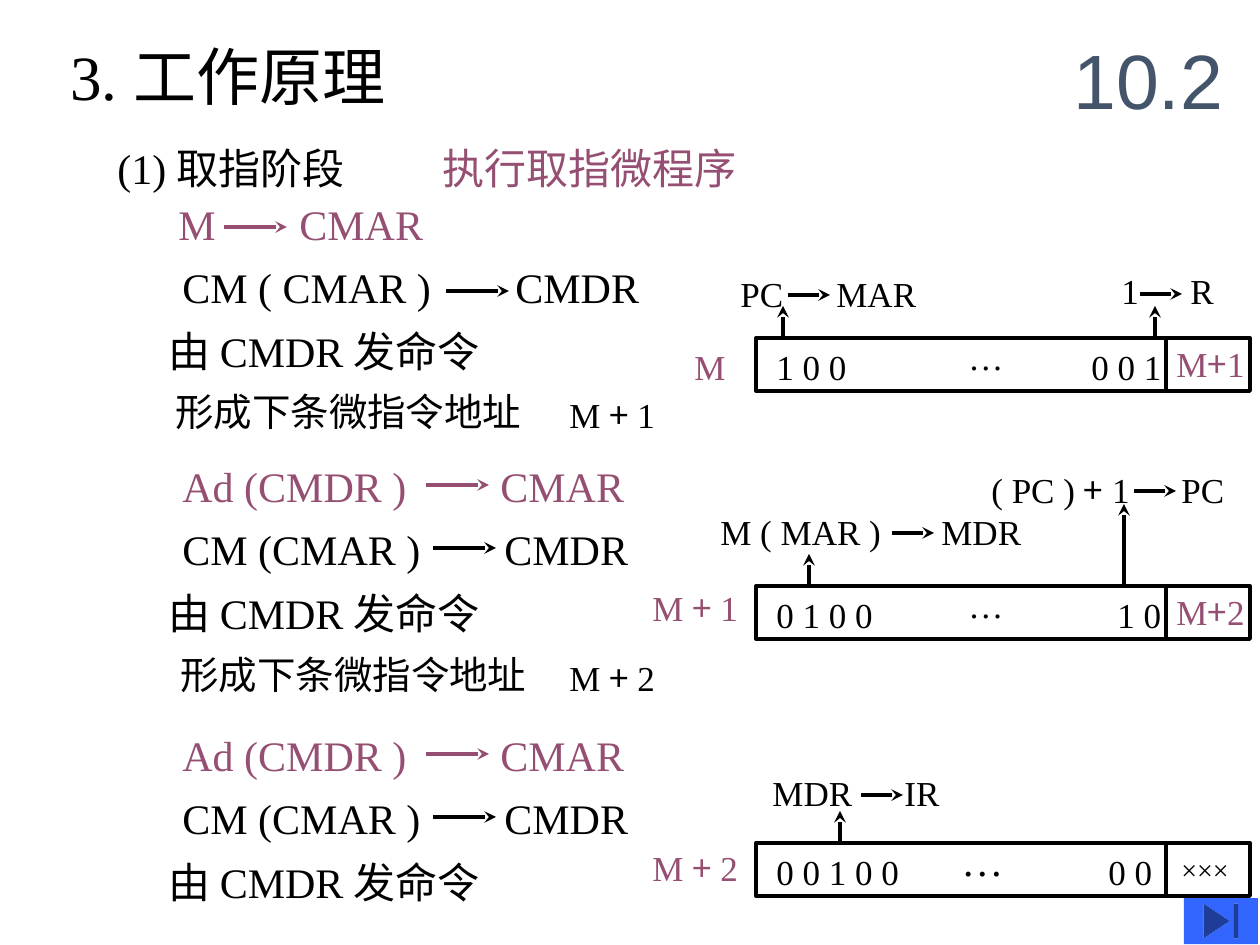
from lxml.etree import SubElement
from pptx import Presentation
from pptx.dml.color import RGBColor
from pptx.enum.shapes import MSO_CONNECTOR as Connector, MSO_SHAPE as Shape
from pptx.enum.text import MSO_ANCHOR as Anchor
from pptx.oxml.ns import qn
from pptx.util import Emu, Pt

SCALE = 914400 / 126
BLACK, PURPLE, SLATE, BLUE = "000000", "954F72", "44546A", "3366FF"
SERIF, SANS, CJK = "Times New Roman", "Arial", "Noto Sans CJK SC"


def px(length):
    """Turn px into EMU."""
    return Emu(round(length * SCALE))


def color(hex_string):
    """Turn a hex string into a colour."""
    return RGBColor.from_string(hex_string)


def add_text(slide, box, wording, size=20, hex_string=BLACK, font=SERIF, tab=None):
    """Place one line of text, with an optional tab stop."""
    text_box = slide.shapes.add_textbox(*map(px, box))
    frame = text_box.text_frame
    frame.word_wrap = True
    paragraph = frame.paragraphs[0]
    if tab:
        tab_list = SubElement(paragraph._p.get_or_add_pPr(), qn("a:tabLst"))
        SubElement(tab_list, qn("a:tab"), pos=str(px(tab)), algn="l")
    paragraph.font.name = font
    paragraph.font.size = Pt(size)
    paragraph.font.color.rgb = color(hex_string)
    for piece in filter(None, wording.partition("+")):
        run = paragraph.add_run()
        run.text = piece
        if piece == "+":
            run.font.name = CJK
    return text_box


def add_line(slide, start, end, hex_string=BLACK, arrow=True):
    """Draw a straight line, by default with an arrowhead at its end."""
    line = slide.shapes.add_connector(Connector.STRAIGHT, *map(px, (*start, *end)))
    line.line.width = Pt(2.25)
    line.line.color.rgb = color(hex_string)
    if arrow:
        SubElement(line.line._get_or_add_ln(), qn("a:tailEnd"), type="stealth")
    SubElement(line._element.spPr, qn("a:effectLst"))


def add_transfer(slide, box, source, target, tab, arrow, size=20, hex_string=BLACK):
    """Write source and target with an arrow between, given as x, y, length in the box."""
    add_text(slide, box, f"{source}\t{target}", size, hex_string, tab=tab)
    x, y, length = box[0] + arrow[0], box[1] + arrow[1], arrow[2]
    add_line(slide, (x, y), (x + length, y), hex_string)


def add_header(slide):
    """Place the title, the section number and the stage line."""
    add_text(slide, (58, 31, 360, 88), "3. 工作原理", 36)
    number = add_text(slide, (1061, 21, 199, 116), "10.2", 44, SLATE, SANS)
    number.text_frame.vertical_anchor = Anchor.MIDDLE
    add_text(slide, (105, 136, 266, 63), "(1) 取指阶段", 24)
    add_text(slide, (430, 136, 322, 63), "执行取指微程序", 24, PURPLE)


def add_command(slide, top):
    """Place the line on issuing commands."""
    add_text(slide, (156, top, 360, 63), "由 CMDR 发命令", 24)


def add_next_address(slide, left, top, wording):
    """Place the line on forming the next address."""
    add_text(slide, (left, top, 374, 59), "形成下条微指令地址", 22)
    add_text(slide, (557, top + 5, 114, 55), wording)


def add_first_step(slide, top):
    """Place the fetch of the first microinstruction."""
    add_transfer(slide, (166, top, 274, 63), "M", "CMAR", 121, (58, 35, 63), 24, PURPLE)
    add_transfer(slide, (170, top + 63, 486, 63), "CM ( CMAR )", "CMDR", 333,
                 (276, 36, 63), 24)
    add_command(slide, top + 127)


def add_later_step(slide, top):
    """Place the fetch of a following microinstruction."""
    add_transfer(slide, (170, top, 471, 63), "Ad (CMDR )", "CMAR", 318,
                 (256, 31, 63), 24, PURPLE)
    add_transfer(slide, (170, top + 63, 476, 63), "CM (CMAR )", "CMDR", 322,
                 (263, 31, 63), 24)
    add_command(slide, top + 127)


def add_register(slide, top, bits, tab, label, label_box, following, outputs,
                 following_style=(1164, -2, 93, 20, PURPLE), dots=(956, -9, 60, 20)):
    """Place a microinstruction word with its label, bits, next address and outputs."""
    for x, length in outputs:
        add_line(slide, (x, top), (x, top - length))
    frame = slide.shapes.add_shape(Shape.RECTANGLE, *map(px, (756, top, 494, 53)))
    frame.shadow.inherit = False
    frame.fill.background()
    frame.line.color.rgb = color(BLACK)
    frame.line.width = Pt(2.25)
    add_text(slide, (764, top + 1, 414, 55), "\t".join(bits), tab=tab)
    add_line(slide, (1166, top), (1166, top + 52), arrow=False)
    left, shift, width = label_box
    add_text(slide, (left, top + shift, width, 55), label, hex_string=PURPLE)
    left, shift, width, size, hex_string = following_style
    add_text(slide, (left, top + shift, width, 55), following, size, hex_string)
    left, shift, width, size = dots
    add_text(slide, (left, top + shift, width, 55), "…", size)


def add_end_button(slide, box):
    """Place the button that jumps to the end."""
    button = slide.shapes.add_shape(Shape.ACTION_BUTTON_END, *map(px, box))
    button.shadow.inherit = False
    button.fill.solid()
    button.fill.fore_color.rgb = color(BLUE)
    button.line.fill.background()


def main():
    """Build the slide and save it."""
    presentation = Presentation()
    presentation.slide_width, presentation.slide_height = px(1260), px(945)
    slide = presentation.slides.add_slide(presentation.slide_layouts[6])
    add_header(slide)

    add_first_step(slide, 192)
    add_next_address(slide, 163, 382, "M + 1")
    add_later_step(slide, 454)
    add_next_address(slide, 168, 645, "M + 2")
    add_later_step(slide, 723)

    transfers = [
        ((728, 266, 204, 55), "PC", "MAR", 96, (60, 29, 42)),
        ((1109, 263, 122, 55), "1", "R", 69, (31, 31, 42)),
        ((708, 504, 330, 55), "M ( MAR )", "MDR", 221, (184, 29, 42)),
        ((979, 462, 264, 55), "( PC ) + 1", "PC", 190, (155, 29, 42)),
        ((760, 765, 197, 55), "MDR", "IR", 132, (101, 30, 42)),
    ]
    for transfer in transfers:
        add_transfer(slide, *transfer)

    add_register(slide, 338, ("1 0 0", "0 0 1"), 315, "M", (682, 1, 59), "M+1",
                 [(783, 32), (1155, 32)])
    add_register(slide, 586, ("0 1 0 0", "1 0"), 341, "M + 1", (640, -6, 114), "M+2",
                 [(809, 32), (1124, 82)])
    add_register(slide, 843, ("0 0 1 0 0", "0 0"), 332, "M + 2", (640, -3, 114), "×××",
                 [(840, 32)], (1169, 3, 76, 16, BLACK), (949, -15, 67, 24))
    add_end_button(slide, (1184, 898, 74, 46))
    presentation.save("out.pptx")


if __name__ == "__main__":
    main()
